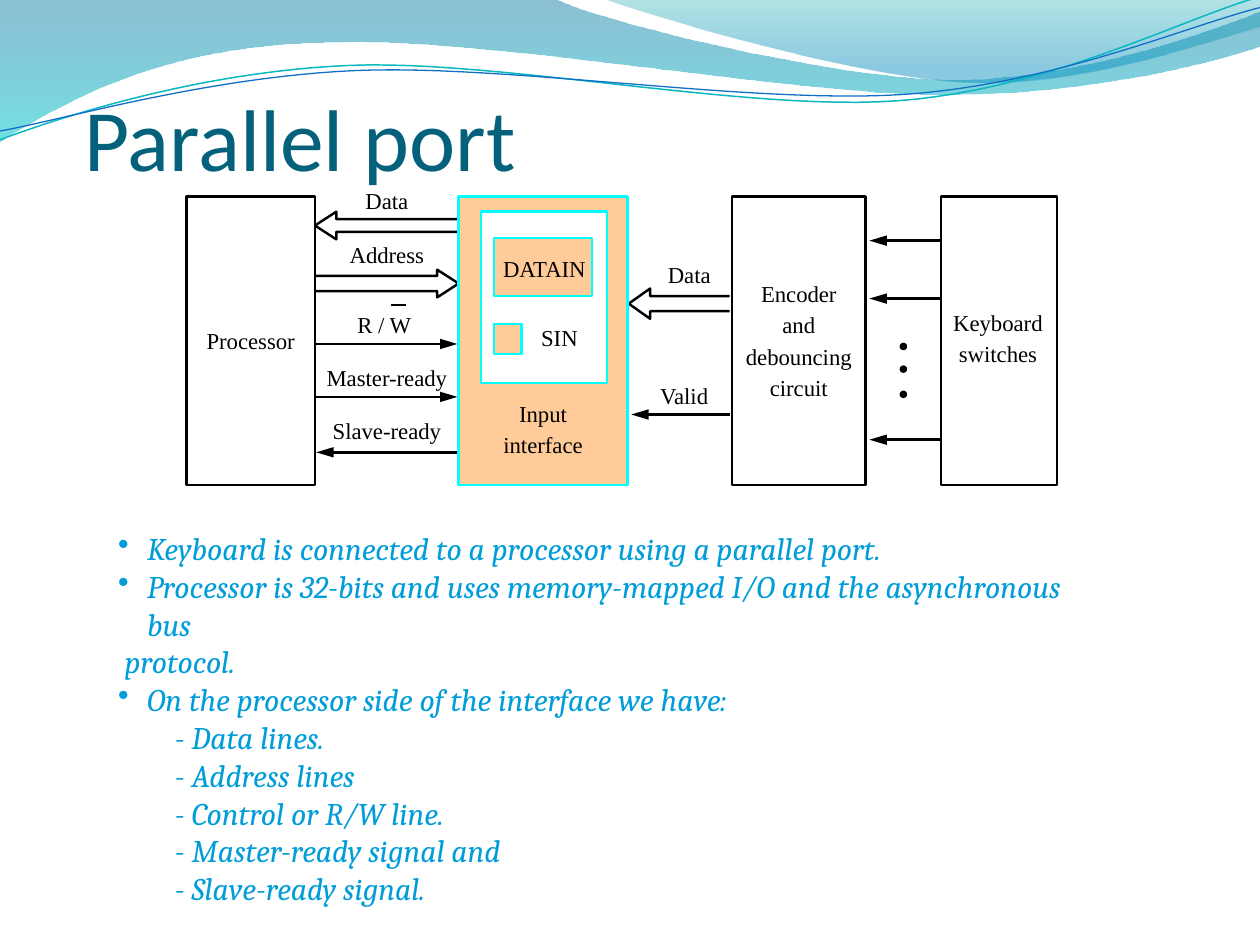
from typing import NamedTuple

from lxml.etree import SubElement
from pptx import Presentation
from pptx.dml.color import RGBColor
from pptx.enum.shapes import MSO_CONNECTOR as Connector, MSO_SHAPE as Shape
from pptx.enum.text import MSO_ANCHOR as Anchor, PP_ALIGN as Align
from pptx.oxml.ns import qn
from pptx.util import Inches, Pt

BLACK = RGBColor(0x00, 0x00, 0x00)
WHITE = RGBColor(0xFF, 0xFF, 0xFF)
CYAN = RGBColor(0x00, 0xFF, 0xFF)
PEACH = RGBColor(0xFF, 0xCC, 0x99)
TITLE_COLOR = RGBColor(0x04, 0x61, 0x7B)
BODY_COLOR = RGBColor(0x00, 0x9D, 0xD9)
TEAL_LINE = RGBColor(0x0A, 0xB8, 0xBF)
BLUE_LINE = RGBColor(0x0F, 0x6F, 0xC6)
DEEP_BLUE = RGBColor(0x00, 0x74, 0xA1)
AQUA = RGBColor(0x00, 0xC6, 0xCF)
SEA_GREEN = RGBColor(0x00, 0xA1, 0xA9)
SKY_BLUE = RGBColor(0x00, 0x8B, 0xBF)
LINE_WIDTH = Pt(1.38)
CURVE_STEPS = 24

Point = tuple[float, float]


class Stop(NamedTuple):
    position: float
    color: RGBColor
    opacity: int


class Wave(NamedTuple):
    start: Point
    segments: list[tuple[Point, ...]]
    stops: tuple[Stop, ...] = ()
    line_color: RGBColor = BLACK
    line_width: float = 0


class Block(NamedTuple):
    left: float
    top: float
    width: float
    height: float
    fill: RGBColor
    line: RGBColor


class Arrow(NamedTuple):
    start_x: float
    tip_x: float
    y: float


class BusArrow(NamedTuple):
    start_x: float
    tip_x: float
    y: float
    half_body: float
    half_head: float


class Label(NamedTuple):
    center: float
    top: float
    text: str


class Item(NamedTuple):
    text: str
    margin: float
    bullet: bool = False


WAVES = [
    Wave((0, -0.01), [
        ((4.4, -0.01),),
        ((4.76, 0.17), (6.64, 0.63), (7.58, 0.63)), ((8.53, 0.63), (9.58, 0.26), (10, 0.09)),
        ((10.01, 0.36),),
        ((9.83, 0.44), (8.7, 0.76), (7.46, 0.75)), ((6.22, 0.75), (3.82, 0.28), (2.57, 0.34)),
        ((1.29, 0.35), (0.46, 0.83), (-0.01, 1.13)),
    ], (Stop(0, DEEP_BLUE, 45), Stop(1, AQUA, 55))),
    Wave((4.79, -0.01), [
        ((5.09, 0.11), (6.82, 0.62), (7.69, 0.65)), ((8.56, 0.69), (9.61, 0.32), (10, 0.21)),
        ((10, 0),),
    ], (Stop(0, SEA_GREEN, 30), Stop(0.8, SKY_BLUE, 45))),
    Wave((0, 1.11), [
        ((0.48, 0.93), (1.58, 0.57), (2.77, 0.52)), ((3.95, 0.47), (5.93, 0.89), (7.13, 0.8)),
        ((8.33, 0.71), (9.38, 0.15), (9.98, -0.02)),
    ], line_color=TEAL_LINE, line_width=0.85),
    Wave((0, 1.04), [
        ((0.47, 0.96), (1.64, 0.61), (2.83, 0.56)), ((4.03, 0.51), (5.97, 0.83), (7.17, 0.75)),
        ((8.36, 0.67), (9.41, 0.21), (10, 0.06)),
    ], line_color=BLUE_LINE, line_width=0.75),
]
BUS_ARROWS = [
    BusArrow(3.64, 2.5, 1.79, 0.05, 0.11),
    BusArrow(2.5, 3.64, 2.25, 0.06, 0.11),
    BusArrow(5.79, 4.99, 2.41, 0.06, 0.12),
]
ARROWS = [
    Arrow(2.5, 3.63, 2.73), Arrow(2.5, 3.63, 3.15), Arrow(3.64, 2.51, 3.59),
    Arrow(5.79, 5.01, 3.29),
    *(Arrow(7.47, 6.9, y) for y in (1.91, 2.37, 3.49)),
]
BLOCKS = [
    Block(1.48, 1.56, 1.02, 2.29, WHITE, BLACK),
    Block(7.47, 1.56, 0.92, 2.29, WHITE, BLACK),
    Block(5.81, 1.56, 1.06, 2.29, WHITE, BLACK),
    Block(3.64, 1.56, 1.34, 2.29, PEACH, CYAN),
    Block(3.82, 1.68, 1, 1.36, WHITE, CYAN),
    Block(3.92, 2.57, 0.22, 0.24, PEACH, CYAN),
    Block(3.92, 1.89, 0.78, 0.46, PEACH, CYAN),
]
LABELS = [
    Label(1.99, 2.59, "Processor"),
    Label(3.07, 1.48, "Data"), Label(3.07, 1.91, "Address"), Label(3.05, 2.47, "R / W"),
    Label(3.07, 2.89, "Master-ready"), Label(3.07, 3.31, "Slave-ready"),
    Label(4.32, 2.02, "DATAIN"), Label(4.44, 2.57, "SIN"), Label(4.31, 3.17, "Input\ninterface"),
    Label(5.47, 2.07, "Data"), Label(5.43, 3.03, "Valid"),
    Label(6.34, 2.22, "Encoder\nand\ndebouncing\ncircuit"),
    Label(7.92, 2.45, "Keyboard\nswitches"),
]
ITEMS = [
    Item("Keyboard is connected to a processor using a parallel port.", 0.23, True),
    Item("Processor is 32-bits and uses memory-mapped I/O and the asynchronous bus", 0.23, True),
    Item("protocol.", 0.05),
    Item("On the processor side of the interface we have:", 0.23, True),
    *(Item(f"- {signal}", 0.45) for signal in (
        "Data lines.", "Address lines", "Control or R/W line.",
        "Master-ready signal and", "Slave-ready signal.")),
]


def curve_points(start: Point, segments: list[tuple[Point, ...]]) -> list[Point]:
    points = [start]
    for segment in segments:
        if len(segment) == 1:
            points.append(segment[0])
            continue
        controls = (points[-1], *segment)
        for step in range(1, CURVE_STEPS + 1):
            t = step / CURVE_STEPS
            weights = ((1 - t) ** 3, 3 * t * (1 - t) ** 2, 3 * t * t * (1 - t), t ** 3)
            points.append(tuple(sum(w * p[axis] for w, p in zip(weights, controls))
                                for axis in (0, 1)))
    return points


def draw_outline(slide, points: list[Point], close: bool):
    start, *rest = [(Inches(x), Inches(y)) for x, y in points]
    builder = slide.shapes.build_freeform(*start)
    builder.add_line_segments(rest, close=close)
    shape = builder.convert_to_shape()
    shape.shadow.inherit = False
    shape.fill.background()
    return shape


def draw_wave(slide, wave: Wave) -> None:
    shape = draw_outline(slide, curve_points(wave.start, wave.segments), bool(wave.stops))
    if not wave.stops:
        shape.line.color.rgb = wave.line_color
        shape.line.width = Pt(wave.line_width)
        return
    shape.line.fill.background()
    shape.fill.gradient()
    shape.fill.gradient_angle = 270
    for gradient_stop, stop in zip(shape.fill.gradient_stops, wave.stops):
        gradient_stop.position = stop.position
        gradient_stop.color.rgb = stop.color
    for color, stop in zip(shape._element.spPr.iter(qn("a:srgbClr")), wave.stops):
        SubElement(color, qn("a:alpha"), val=str(stop.opacity * 1000))


def draw_bus_arrow(slide, arrow: BusArrow) -> None:
    neck = arrow.tip_x + (0.17 if arrow.start_x > arrow.tip_x else -0.17)
    upper = [(arrow.start_x, -arrow.half_body), (neck, -arrow.half_body), (neck, -arrow.half_head)]
    lower = [(x, -offset) for x, offset in reversed(upper)]
    points = [(x, arrow.y + offset) for x, offset in [*upper, (arrow.tip_x, 0), *lower]]
    shape = draw_outline(slide, points, False)
    shape.line.color.rgb = BLACK
    shape.line.width = LINE_WIDTH


def draw_line(slide, arrow: Arrow, head: bool = True) -> None:
    y = Inches(arrow.y)
    line = slide.shapes.add_connector(
        Connector.STRAIGHT, Inches(arrow.start_x), y, Inches(arrow.tip_x), y)
    line.line.color.rgb = BLACK
    line.line.width = LINE_WIDTH
    if head:
        SubElement(line.line._get_or_add_ln(), qn("a:tailEnd"), type="triangle", w="med", len="lg")
    SubElement(line._element.spPr, qn("a:effectLst"))


def draw_block(slide, block: Block, kind: Shape = Shape.RECTANGLE) -> None:
    shape = slide.shapes.add_shape(kind, *(Inches(value) for value in block[:4]))
    shape.shadow.inherit = False
    shape.fill.solid()
    shape.fill.fore_color.rgb = block.fill
    shape.line.color.rgb = block.line
    shape.line.width = LINE_WIDTH


def add_text(slide, left: float, top: float, width: float, height: float, text: str):
    box = slide.shapes.add_textbox(Inches(left), Inches(top), Inches(width), Inches(height))
    box.text_frame.text = text
    return box.text_frame


def clear_margins(frame) -> None:
    frame.margin_left = frame.margin_right = frame.margin_top = frame.margin_bottom = 0


def style(paragraph, name: str, size: float, color: RGBColor, italic: bool = False) -> None:
    for run in paragraph.runs:
        run.font.name, run.font.size, run.font.italic = name, Pt(size), italic
        run.font.color.rgb = color


def draw_label(slide, label: Label) -> None:
    height = 0.24 * len(label.text.split("\n")) - 0.02
    frame = add_text(slide, label.center - 0.48, label.top, 0.96, height, label.text)
    clear_margins(frame)
    frame.word_wrap = False
    for index, paragraph in enumerate(frame.paragraphs):
        paragraph.alignment = Align.CENTER
        if index:
            paragraph.space_before = Pt(2.3)
        style(paragraph, "Times New Roman", 13, BLACK)


def draw_title(slide) -> None:
    frame = add_text(slide, 0.67, 0.58, 5.83, 0.92, "Parallel port")
    clear_margins(frame)
    frame.word_wrap = True
    frame.vertical_anchor = Anchor.BOTTOM
    style(frame.paragraphs[0], "Calibri", 50, TITLE_COLOR)


def draw_items(slide) -> None:
    frame = add_text(slide, 0.84, 4.15, 8, 2.8, "\n".join(item.text for item in ITEMS))
    frame.word_wrap = True
    for paragraph, item in zip(frame.paragraphs, ITEMS):
        properties = paragraph._p.get_or_add_pPr()
        properties.set("marL", str(Inches(item.margin)))
        if item.bullet:
            properties.set("indent", str(-Inches(item.margin)))
            SubElement(properties, qn("a:buChar"), char="•")
        style(paragraph, "Cambria", 18, BODY_COLOR, italic=True)


def main() -> None:
    presentation = Presentation()
    presentation.slide_width, presentation.slide_height = Inches(10), Inches(7.5)
    slide = presentation.slides.add_slide(presentation.slide_layouts[6])
    for wave in WAVES:
        draw_wave(slide, wave)
    draw_title(slide)
    for bus_arrow in BUS_ARROWS:
        draw_bus_arrow(slide, bus_arrow)
    for arrow in ARROWS:
        draw_line(slide, arrow)
    for block in BLOCKS:
        draw_block(slide, block)
    for y in (2.73, 2.91, 3.11):
        draw_block(slide, Block(7.15, y, 0.04, 0.04, BLACK, BLACK), Shape.OVAL)
    for label in LABELS:
        draw_label(slide, label)
    draw_line(slide, Arrow(3.1, 3.22, 2.42), head=False)
    draw_items(slide)
    presentation.save("out.pptx")


if __name__ == "__main__":
    main()
